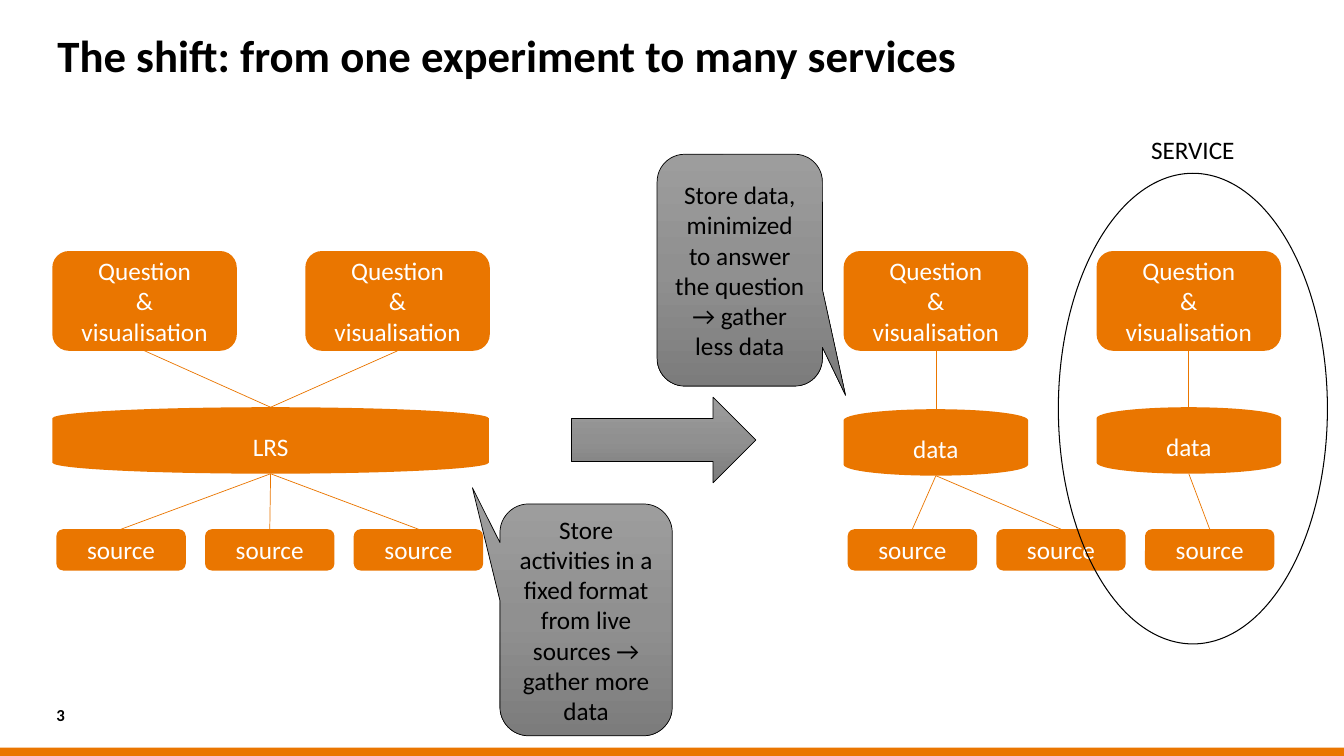
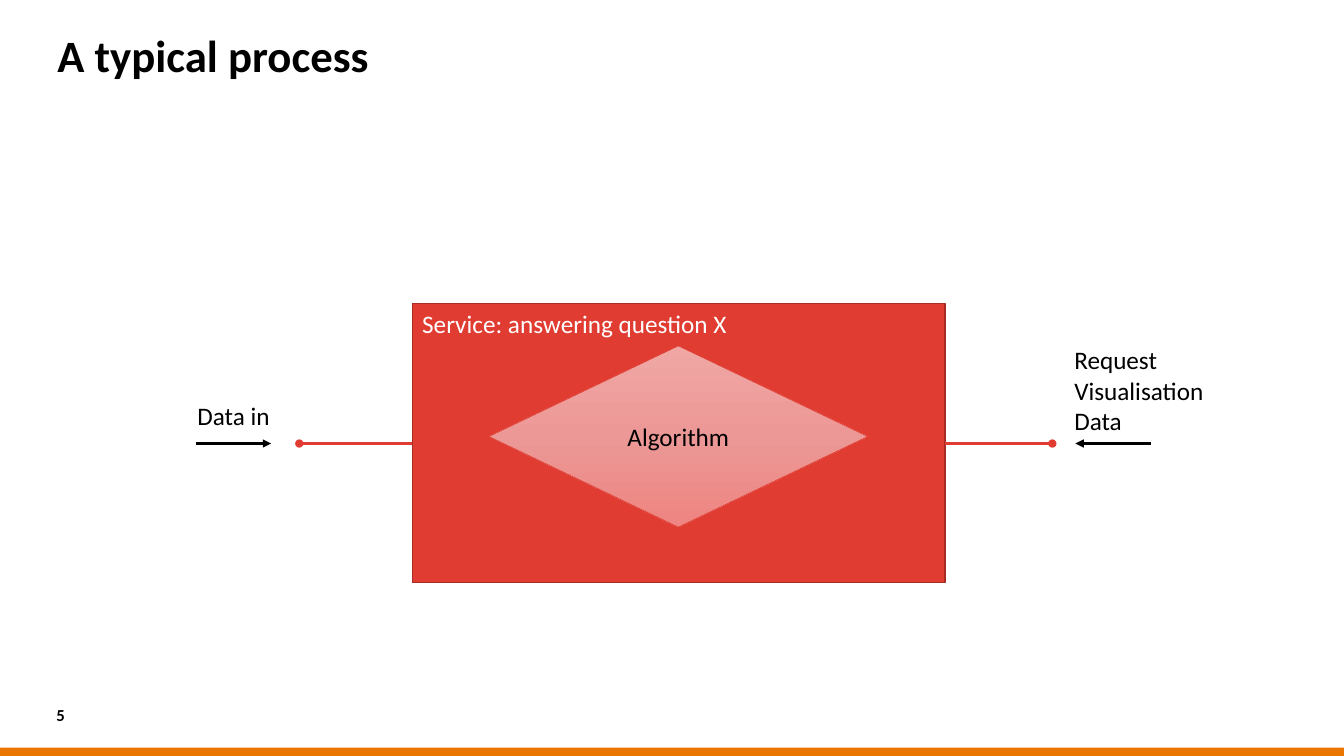
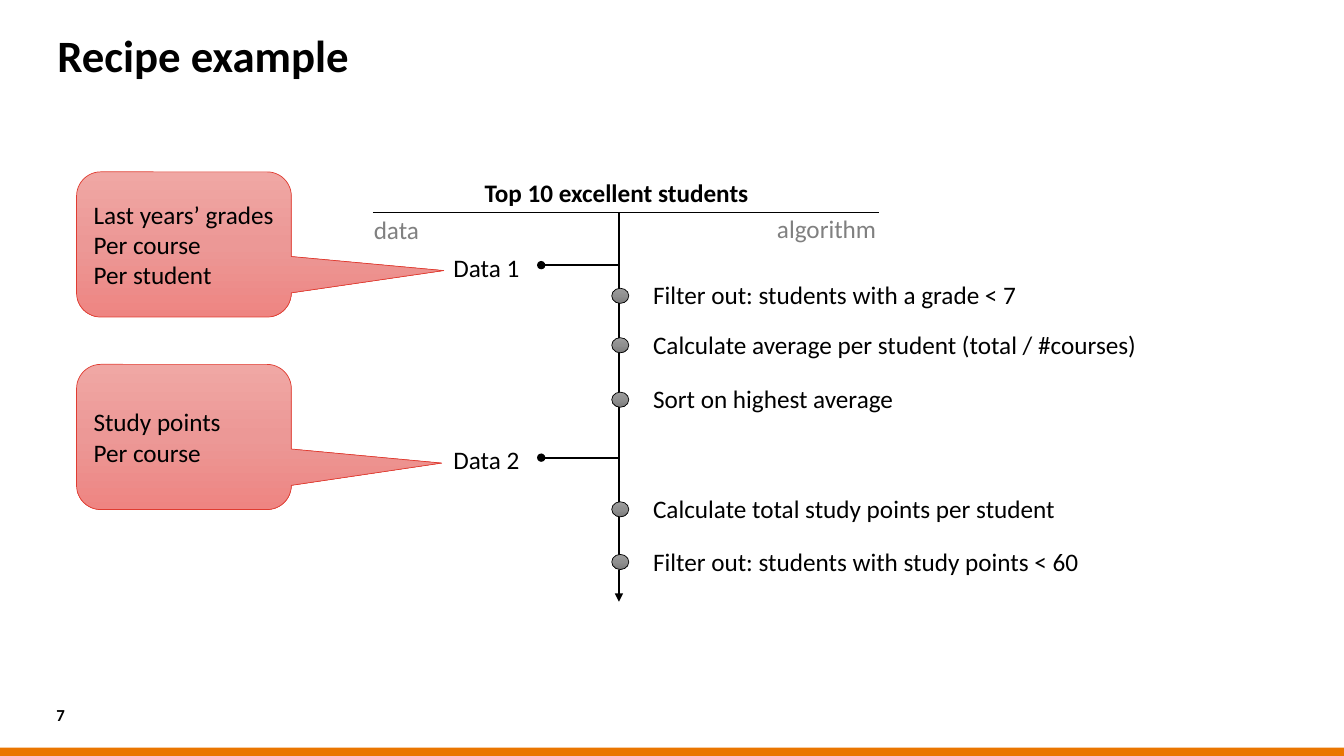
from copy import deepcopy

from lxml import etree
from pptx import Presentation
from pptx.dml.color import RGBColor
from pptx.enum import shapes, text
from pptx.oxml.ns import qn
from pptx.util import Pt

# Shared style
FONT = "Calibri"
ORANGE = RGBColor(0xEA, 0x76, 0x00)
RED = RGBColor(0xE0, 0x3C, 0x31)
DARK_RED = RGBColor(0xA6, 0x2C, 0x24)
BLACK = RGBColor(0x00, 0x00, 0x00)
WHITE = RGBColor(0xFF, 0xFF, 0xFF)
GRAY = RGBColor(0x80, 0x80, 0x80)
GRAY_BLEND = tuple(RGBColor.from_string(c) for c in ("9D9D9D", "909090", "7C7C7C"))
PINK_BLEND = tuple(RGBColor.from_string(c) for c in ("F0A7A4", "EC9896", "EE8582"))

KIND = shapes.MSO_SHAPE
LEFT, CENTER = text.PP_ALIGN.LEFT, text.PP_ALIGN.CENTER
TOP, MIDDLE = text.MSO_ANCHOR.TOP, text.MSO_ANCHOR.MIDDLE
WIDTH, HEIGHT = 960, 540

# Slide content
QUESTION = ["Question", "&", "visualisation"]
SHIFT_NOTES = [  # box, pointer, wording
    ((357.1, 360, 123.1, 165.6), (-0.66, -0.57),
     "Store activities in a fixed format from live sources → gather more data"),
    ((469.4, 110.2, 118.1, 165.6), (0.64, 0.54),
     "Store data, minimized to answer the question → gather less data"),
]
PROCESS_LABELS = [  # left, top, width, height, lines
    (133.9, 282.2, 67, 29, ["Data in"]),
    (760.3, 242.6, 108, 72.7, ["Request", "Visualisation", "Data"]),
]
PROCESS_LINES = [  # from x, to x, colour, line end
    (294.5, 213.8, RED, "oval"),
    (675.2, 751.7, RED, "oval"),
    (139.7, 193.7, BLACK, "triangle"),
    (822.2, 768.2, BLACK, "triangle"),
]
RECIPE_INPUTS = [  # y, label, note, pointer
    (189.4, "Data 1", ["Last years’ grades", "Per course", "Per student"], (1.21, 0.18)),
    (326.9, "Data 2", ["Study points", "Per course"], (1.2, 0.18)),
]
RECIPE_STEPS = [  # y, width, wording
    (211.3, 277, "Filter out: students with a grade < 7"),
    (246.6, 364, "Calculate average per student (total / #courses)"),
    (285.5, 188, "Sort on highest average"),
    (363.8, 305, "Calculate total study points per student"),
    (401.4, 322, "Filter out: students with study points < 60"),
]
RECIPE_HEADINGS = [  # left, top, width, wording, colour, bold
    (339.1, 123.1, 204.5, "Top 10 excellent students", BLACK, True),
    (259.9, 149.8, 47.5, "data", GRAY, False),
    (547.9, 149, 86.4, "algorithm", GRAY, False),
]


# Drawing helpers
def write(shape, lines, color=BLACK, size=18, bold=False, align=LEFT, anchor=TOP):
    frame = shape.text_frame
    frame.vertical_anchor = anchor
    for index, line in enumerate(lines):
        paragraph = frame.paragraphs[0] if index == 0 else frame.add_paragraph()
        paragraph.alignment = align
        run = paragraph.add_run()
        run.text = line
        run.font.name, run.font.size, run.font.bold = FONT, Pt(size), bold
        run.font.color.rgb = color


def add_label(slide, box, lines, inset=None, wrap=False, **style):
    label = slide.shapes.add_textbox(*map(Pt, box))
    frame = label.text_frame
    frame.word_wrap = wrap
    frame.auto_size = (text.MSO_AUTO_SIZE.NONE if wrap
                       else text.MSO_AUTO_SIZE.SHAPE_TO_FIT_TEXT)
    if inset:
        (frame.margin_left, frame.margin_top,
         frame.margin_right, frame.margin_bottom) = map(Pt, inset)
    write(label, lines, **style)
    return label


def add_block(slide, kind, box, fill=None, line=None, weight=0.5, lines=(),
              pointer=None, **style):
    shape = slide.shapes.add_shape(kind, *map(Pt, box))
    shape.shadow.inherit = False
    if fill is None:
        shape.fill.background()
    elif isinstance(fill, RGBColor):
        shape.fill.solid()
        shape.fill.fore_color.rgb = fill
    else:
        shape.fill.gradient()
        shape.fill.gradient_angle = 270
        stops = shape._element.spPr.find(".//" + qn("a:gsLst"))
        stops.insert(1, deepcopy(stops[0]))
        for index, stop in enumerate(shape.fill.gradient_stops):
            stop.position = index / 2
            stop.color.rgb = fill[index]
    if line is None:
        shape.line.fill.background()
    else:
        shape.line.color.rgb = line
        shape.line.width = Pt(weight)
    if pointer:
        shape.adjustments[0], shape.adjustments[1] = pointer
    if lines:
        write(shape, lines, **style)
    return shape


def add_line(slide, start, end, color=BLACK, weight=1.5, tail=None):
    line = slide.shapes.add_connector(
        shapes.MSO_CONNECTOR.STRAIGHT, *map(Pt, (*start, *end)))
    line.line.color.rgb = color
    line.line.width = Pt(weight)
    properties = line._element.spPr
    if tail:
        etree.SubElement(properties.find(qn("a:ln")), qn("a:tailEnd"), type=tail)
    etree.SubElement(properties, qn("a:effectLst"))


def add_page(presentation, title, number):
    slide = presentation.slides.add_slide(presentation.slide_layouts[6])
    add_block(slide, KIND.RECTANGLE, (0, 534, WIDTH, 6), ORANGE)
    heading = add_label(slide, (41, 21.6, 878, 47.5), [title],
                        inset=(0, 5.8, 0, 0), wrap=True, size=32, bold=True)
    heading.text_frame.paragraphs[0].line_spacing = 0.8
    add_label(slide, (40.3, 501.8, 31, 17.3), [str(number)], inset=(0, 0, 0, 0),
              wrap=True, size=12, bold=True, anchor=MIDDLE)
    return slide


# Slides
def add_shift(presentation):
    slide = add_page(presentation, "The shift: from one experiment to many services", 3)
    left, right = 37.4, 602.6
    question_width, question_step = 131.8, 180.7
    question_bottom, source_top, store_height = 250.6, 378, 47.5

    def node(kind, box, lines):
        add_block(slide, kind, box, ORANGE, lines=lines, color=WHITE,
                  align=CENTER, anchor=MIDDLE)

    # Each store: left, top, width, name, columns of questions and of sources
    stores = [
        (left, 290.9, 311.8, "LRS", (0, 1), (0, 1, 2)),
        (right, 292.3, question_width, "data", (0,), (0, 1)),
        (right + question_step, 290.9, question_width, "data", (1,), (2,)),
    ]
    for x, top, width, name, questions, sources in stores:
        origin = left if x == left else right
        center = x + width / 2
        for column in questions:
            question_left = origin + column * question_step
            node(KIND.ROUNDED_RECTANGLE, (question_left, 179.3, question_width, 71.3),
                 QUESTION)
            add_line(slide, (center, top),
                     (question_left + question_width / 2, question_bottom), ORANGE, 0.5)
        for column in sources:
            source_left = origin + 2.9 + column * 106.2
            node(KIND.ROUNDED_RECTANGLE, (source_left, source_top, 92.4, 29.5),
                 ["source"])
            add_line(slide, (source_left + 46.2, source_top),
                     (center, top + store_height), ORANGE, 0.5)
        node(KIND.FLOWCHART_MAGNETIC_DISK, (x, top, width, store_height), [name])

    # Transition, service outline and notes
    add_block(slide, KIND.RIGHT_ARROW, (408.2, 283.7, 131.8, 61.2), GRAY_BLEND, BLACK)
    add_block(slide, KIND.OVAL, (756, 123.8, 192.2, 336.2), line=BLACK, weight=0.75)
    add_label(slide, (822.2, 95.8, 60.5, 21.6), ["SERVICE"], inset=(0, 0, 0, 0))
    for box, pointer, wording in SHIFT_NOTES:
        add_block(slide, KIND.ROUNDED_RECTANGULAR_CALLOUT, box, GRAY_BLEND, BLACK,
                  lines=[wording], pointer=pointer, align=CENTER, anchor=MIDDLE)


def add_process(presentation):
    slide = add_page(presentation, "A typical process", 5)
    add_block(slide, KIND.RECTANGLE, (294.5, 216.7, 380.5, 199.6), RED, DARK_RED, 1,
              ["Service: answering question X"], color=WHITE)
    add_block(slide, KIND.FLOWCHART_DECISION, (349.2, 247, 270.7, 129.6), PINK_BLEND,
              RED, lines=["Algorithm"], align=CENTER, anchor=MIDDLE)
    for start, end, color, tail in PROCESS_LINES:
        add_line(slide, (start, 316.8), (end, 316.8), color, tail=tail)
    for *box, lines in PROCESS_LABELS:
        add_label(slide, box, lines)


def add_recipe(presentation):
    slide = add_page(presentation, "Recipe example", 7)
    axis, top = 442.1, 151.9
    add_line(slide, (axis, top), (axis, 429.8), tail="triangle")
    add_line(slide, (266.4, top), (627.8, top), weight=1)
    for x, y, width, wording, color, bold in RECIPE_HEADINGS:
        add_label(slide, (x, y, width, 29), [wording], color=color, bold=bold)

    # Data inputs with their notes
    for y, name, note, pointer in RECIPE_INPUTS:
        add_line(slide, (axis, y), (386.6, y), tail="oval")
        add_label(slide, (316.8, y - 13, 62, 29), [name])
        add_block(slide, KIND.ROUNDED_RECTANGULAR_CALLOUT, (54.7, y - 66.6, 153.4, 103.7),
                  PINK_BLEND, RED, lines=note, pointer=pointer, anchor=MIDDLE)

    # Algorithm steps
    for y, width, wording in RECIPE_STEPS:
        add_block(slide, KIND.OVAL, (437, y - 5.4, 12.2, 10.8), GRAY_BLEND, BLACK)
        add_label(slide, (459.4, y - 15, width, 29), [wording])


def main():
    presentation = Presentation()
    presentation.slide_width, presentation.slide_height = Pt(WIDTH), Pt(HEIGHT)
    for add_slide in (add_shift, add_process, add_recipe):
        add_slide(presentation)
    presentation.save("out.pptx")


if __name__ == "__main__":
    main()
